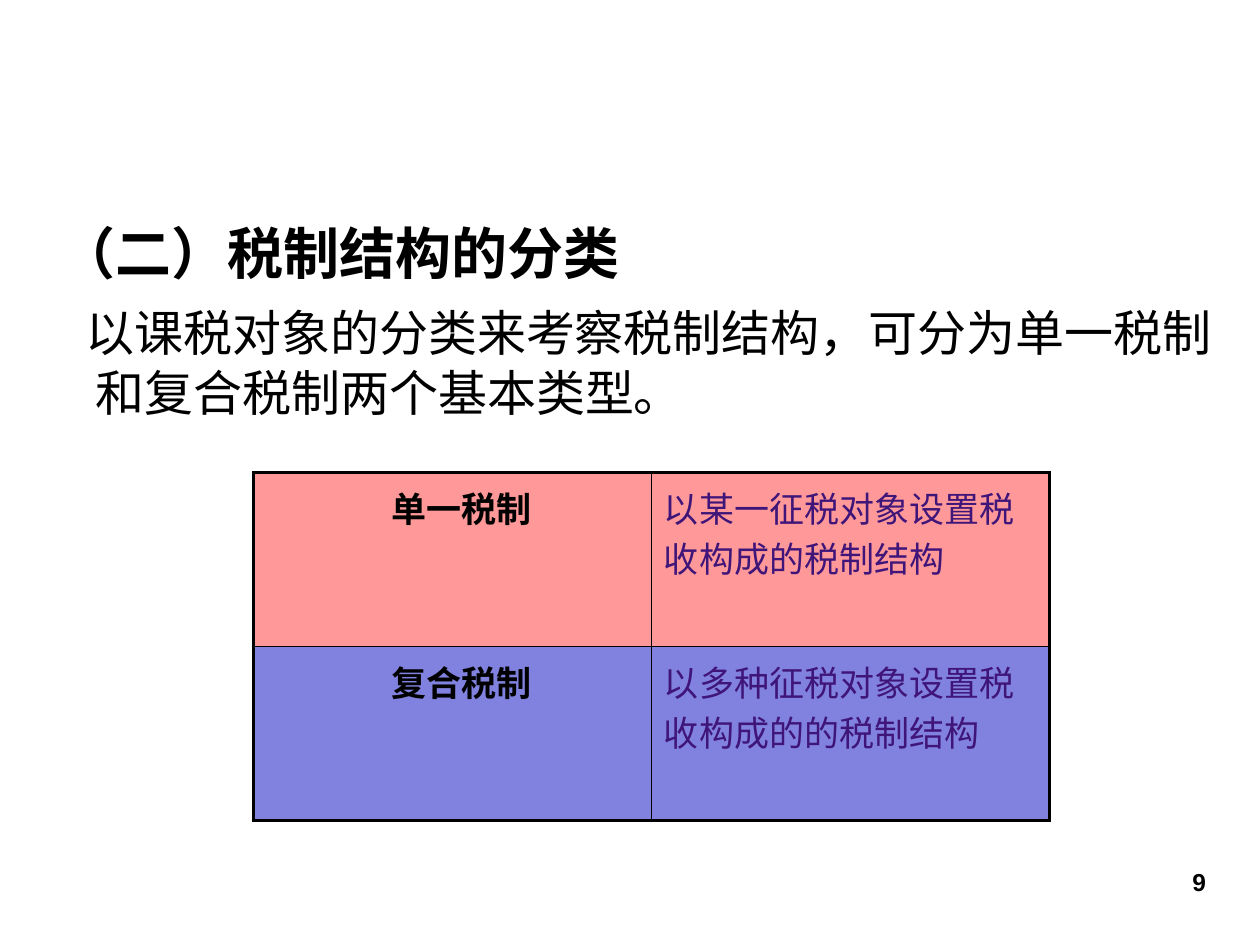
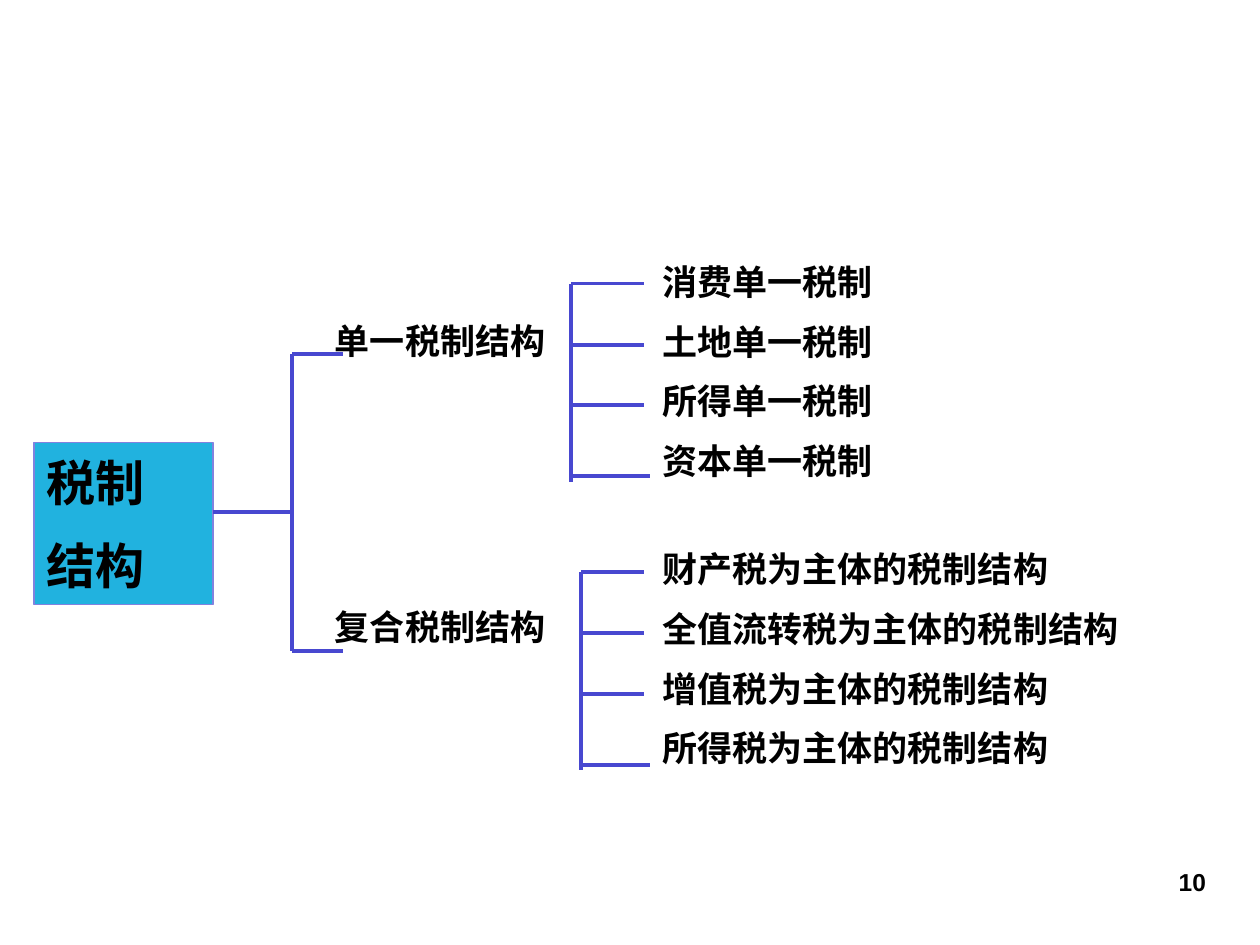
"""Build two slides on the classes of tax structure."""
from dataclasses import dataclass
from lxml.etree import SubElement as Sub
from pptx import Presentation as Deck
from pptx.dml.color import RGBColor as Rgb
from pptx.enum.shapes import MSO_CONNECTOR as Link, MSO_SHAPE as Form
from pptx.enum.text import PP_ALIGN as Align
from pptx.oxml import parse_xml
from pptx.oxml.ns import nsdecls, qn
from pptx.util import Inches, Pt


@dataclass(frozen=True)
class Theme:
    font: str = "Arial"
    ink: str = "000000"
    note: str = "401579"
    rose: str = "FF9999"
    iris: str = "8182DF"
    root: str = "21B2DF"
    rule: str = "4848D0"
    head: int = 32
    lead: int = 28
    base: int = 20
    foot: int = 14


look = Theme()
deck = Deck()
deck.slide_width, deck.slide_height = Inches(10), Inches(7.5)
unit = deck.slide_width // 100


def write(frame, text, size=look.base, color=look.ink, bold=True, align=Align.LEFT,
          line=None, gap=0, left=0, hang=0):
    """Fill the frame, or add to it, with one paragraph per line of text."""
    frame.word_wrap = True
    for row in text.split("\n"):
        fresh = not frame.paragraphs[0].runs
        para = frame.paragraphs[0] if fresh else frame.add_paragraph()
        para.alignment = align
        para.space_before = Pt(0 if fresh else gap)
        if line:
            para.line_spacing = Pt(line)
        props = para._p.get_or_add_pPr()
        props.set("marL", str(round(left * unit)))
        props.set("indent", str(round(hang * unit)))
        run = para.add_run()
        run.text = row
        font = run.font
        font.name, font.size, font.bold = look.font, Pt(size), bold
        font.color.rgb = Rgb.from_string(color)
        Sub(run._r.get_or_add_rPr(), qn("a:ea"), typeface=look.font)


def draw(page, x1, y1, x2, y2):
    """Draw one branch line, with its ends in grid units."""
    ends = [round(n * unit) for n in (x1, y1, x2, y2)]
    bar = page.shapes.add_connector(Link.STRAIGHT, *ends)
    bar.line.color.rgb = Rgb.from_string(look.rule)
    bar.line.width = Pt(2.25)
    Sub(bar._element.spPr, qn("a:effectLst"))


pages = [deck.slides.add_slide(deck.slide_layouts[6]) for _ in range(2)]
for num, page in enumerate(pages, 9):
    box = page.shapes.add_textbox(*[round(n * unit) for n in (75.9, 68.3, 20.8, 5.2)])
    write(box.text_frame, str(num), size=look.foot, align=Align.RIGHT)

kinds, tree = pages
body = kinds.shapes.add_textbox(
    *[round(n * unit) for n in (4.7, 17.2, 92.4, 18)]).text_frame
body.margin_left = body.margin_right = body.margin_top = body.margin_bottom = 0
write(body, "（二）税制结构的分类", size=look.head, line=39.5, left=2.9, hang=-2.9)
write(body, "以课税对象的分类来考察税制结构，可分为单一税制和复合税制两个基本类型。",
      size=look.lead, bold=False, line=34.3, gap=9, left=2.9, hang=-0.8)

rows = [
    ("单一税制", "以某一征税对象设置税收构成的税制结构", look.rose),
    ("复合税制", "以多种征税对象设置税收构成的的税制结构", look.iris),
]
grid = kinds.shapes.add_table(
    2, 2, *[round(n * unit) for n in (20.1, 37.5, 63.2, 27.6)]).table
grid.first_row = grid.horz_banding = False
for r, (name, text, fill) in enumerate(rows):
    for c in range(2):
        cell = grid.cell(r, c)
        cell.fill.solid()
        cell.fill.fore_color.rgb = Rgb.from_string(fill)
        if c == 0:
            write(cell.text_frame, name, line=29, left=10)
        else:
            write(cell.text_frame, text, color=look.note, bold=False, line=29)
        outer = {"L": c == 0, "R": c == 1, "T": r == 0, "B": r == 1}
        for i, (side, edge) in enumerate(outer.items()):
            wide = Pt(2.25 if edge else 1)
            cell._tc.get_or_add_tcPr().insert(i, parse_xml(
                f'<a:ln{side} {nsdecls("a")} w="{wide}"><a:solidFill>'
                f'<a:srgbClr val="{look.ink}"/></a:solidFill></a:ln{side}>'))

root = tree.shapes.add_shape(
    Form.RECTANGLE, *[round(n * unit) for n in (2.7, 35.1, 14.2, 12.9)])
root.shadow.inherit = False
root.fill.solid()
root.fill.fore_color.rgb = Rgb.from_string(look.root)
root.line.color.rgb = Rgb.from_string(look.iris)
root.line.width = Pt(0.75)
write(root.text_frame, "税制\n结构", size=look.lead, line=33.6, gap=14)

parts = [
    (25.6, 24.9, 18.9, 4.3, "单一税制结构"),
    (25.6, 47.6, 18.9, 4.3, "复合税制结构"),
    (51.6, 20.2, 23.6, 19.3, "消费单一税制\n土地单一税制\n所得单一税制\n资本单一税制"),
    (51.6, 43, 41.7, 19.3, "财产税为主体的税制结构\n全值流转税为主体的税制结构\n"
                           "增值税为主体的税制结构\n所得税为主体的税制结构"),
]
for *spot, text in parts:
    box = tree.shapes.add_textbox(*[round(n * unit) for n in spot])
    write(box.text_frame, text, line=24, gap=10)

draw(tree, 16.9, 40.6, 23.2, 40.6)
draw(tree, 23.2, 28.1, 23.2, 51.7)
for y in (28.1, 51.7):
    draw(tree, 23.2, y, 27.2, y)
for x, top in ((45.3, 22.5), (46.1, 45.4)):
    draw(tree, x, top, x, top + 15.75)
    for step, end in ((0, 51.1), (4.85, 51.1), (9.65, 51.1), (15.3, 51.6)):
        draw(tree, x, top + step, end, top + step)

deck.save("out.pptx")
